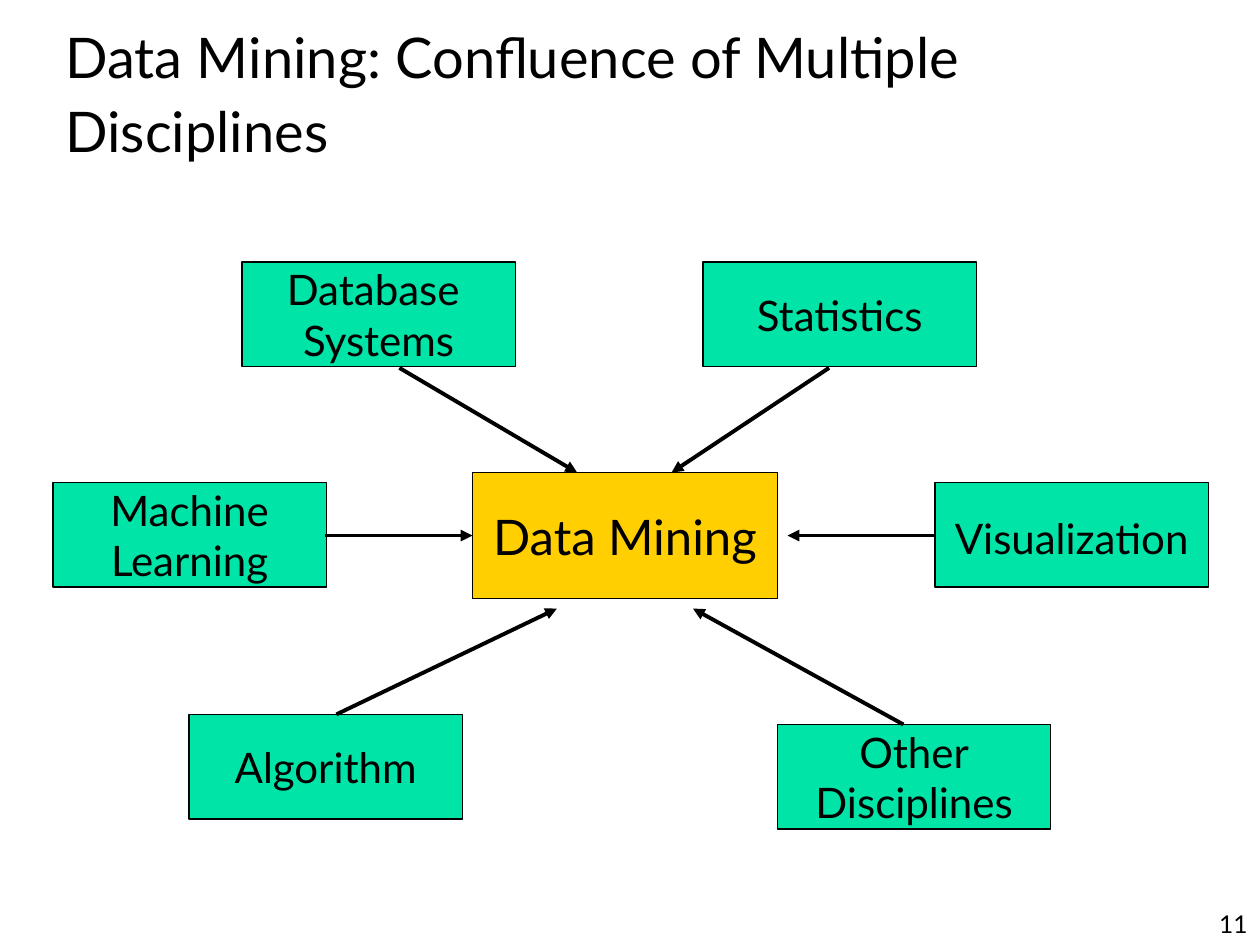
from dataclasses import dataclass

from lxml import etree
from pptx import Presentation
from pptx.dml.color import RGBColor
from pptx.enum.shapes import MSO_CONNECTOR, MSO_SHAPE
from pptx.enum.text import MSO_ANCHOR, PP_ALIGN
from pptx.oxml.ns import qn
from pptx.util import Inches, Pt

RECT, STRAIGHT = MSO_SHAPE.RECTANGLE, MSO_CONNECTOR.STRAIGHT
MIDDLE, BOTTOM = MSO_ANCHOR.MIDDLE, MSO_ANCHOR.BOTTOM
LEFT, CENTER, RIGHT = PP_ALIGN.LEFT, PP_ALIGN.CENTER, PP_ALIGN.RIGHT


@dataclass(frozen=True)
class Theme:
    font: str = "Lato"
    ink: RGBColor = RGBColor(0, 0, 0)
    hub: RGBColor = RGBColor(0xFF, 0xCF, 0x01)
    field: RGBColor = RGBColor(0x00, 0xE4, 0xA8)
    title: int = 32
    title_end: int = 36
    hub_size: int = 28
    field_size: int = 24
    number: int = 14


T = Theme()


def add_run(p, text, size, bold=False):
    r = p.add_run()
    r.text = text
    r.font.name, r.font.size, r.font.bold = T.font, Pt(size), bold
    r.font.color.rgb = T.ink


def set_text(sp, lines, size, align, anchor, wrap):
    tf = sp.text_frame
    tf.word_wrap, tf.vertical_anchor = wrap, anchor
    for i, line in enumerate(lines):
        p = tf.add_paragraph() if i else tf.paragraphs[0]
        p.alignment = align
        add_run(p, line, size)
    return tf


prs = Presentation()
prs.slide_width, prs.slide_height = Inches(10), Inches(7.5)
s = prs.slides.add_slide(prs.slide_layouts[6])

# Slide number and title
sp = s.shapes.add_textbox(Inches(7.92), Inches(7), Inches(2.08), Inches(0.5))
set_text(sp, ["11"], T.number, RIGHT, BOTTOM, True)
sp = s.shapes.add_textbox(Inches(0.42), Inches(0.33), Inches(9.42), Inches(0.83))
tf = set_text(sp, ["Data Mining: Confluence of Multiple Disciplines"],
              T.title, LEFT, MIDDLE, True)
add_run(tf.paragraphs[0], " ", T.title_end, bold=True)

# Central topic and the disciplines around it
FIELD = (2.17, 0.83)
boxes = [
    (["Data Mining"], 3.75, 3.75, (2.42, 1), T.hub, T.hub_size),
    (["Database ", "Systems"], 1.92, 2.08, FIELD, T.field, T.field_size),
    (["Statistics"], 5.58, 2.08, FIELD, T.field, T.field_size),
    (["Other", "Disciplines"], 6.17, 5.75, FIELD, T.field, T.field_size),
    (["Algorithm"], 1.5, 5.67, FIELD, T.field, T.field_size),
    (["Machine", "Learning"], 0.42, 3.83, FIELD, T.field, T.field_size),
    (["Visualization"], 7.42, 3.83, FIELD, T.field, T.field_size),
]
for lines, x, y, (w, h), fill, size in boxes:
    sp = s.shapes.add_shape(RECT, Inches(x), Inches(y), Inches(w), Inches(h))
    sp.shadow.inherit = False
    sp.fill.solid()
    sp.fill.fore_color.rgb = fill
    sp.line.color.rgb = T.ink
    sp.line.width = Pt(0.75)
    tf = set_text(sp, lines, size, CENTER, MIDDLE, False)
tf.paragraphs[0].line_spacing = 1.1  # Visualization sits slightly lower

# Arrows from each discipline to the centre
arrows = [
    (2.58, 4.25, 3.75, 4.25),
    (3.17, 2.92, 4.58, 3.75),
    (6.58, 2.92, 5.33, 3.75),
    (7.42, 4.25, 6.25, 4.25),
    (7.17, 5.75, 5.5, 4.83),
    (2.67, 5.67, 4.42, 4.83),
]
for ends in arrows:
    c = s.shapes.add_connector(STRAIGHT, *map(Inches, ends))
    c.line.color.rgb = T.ink
    c.line.width = Pt(2.25)
    etree.SubElement(c.line._get_or_add_ln(), qn("a:tailEnd"), type="triangle")
    etree.SubElement(c._element.spPr, qn("a:effectLst"))

prs.save("out.pptx")
